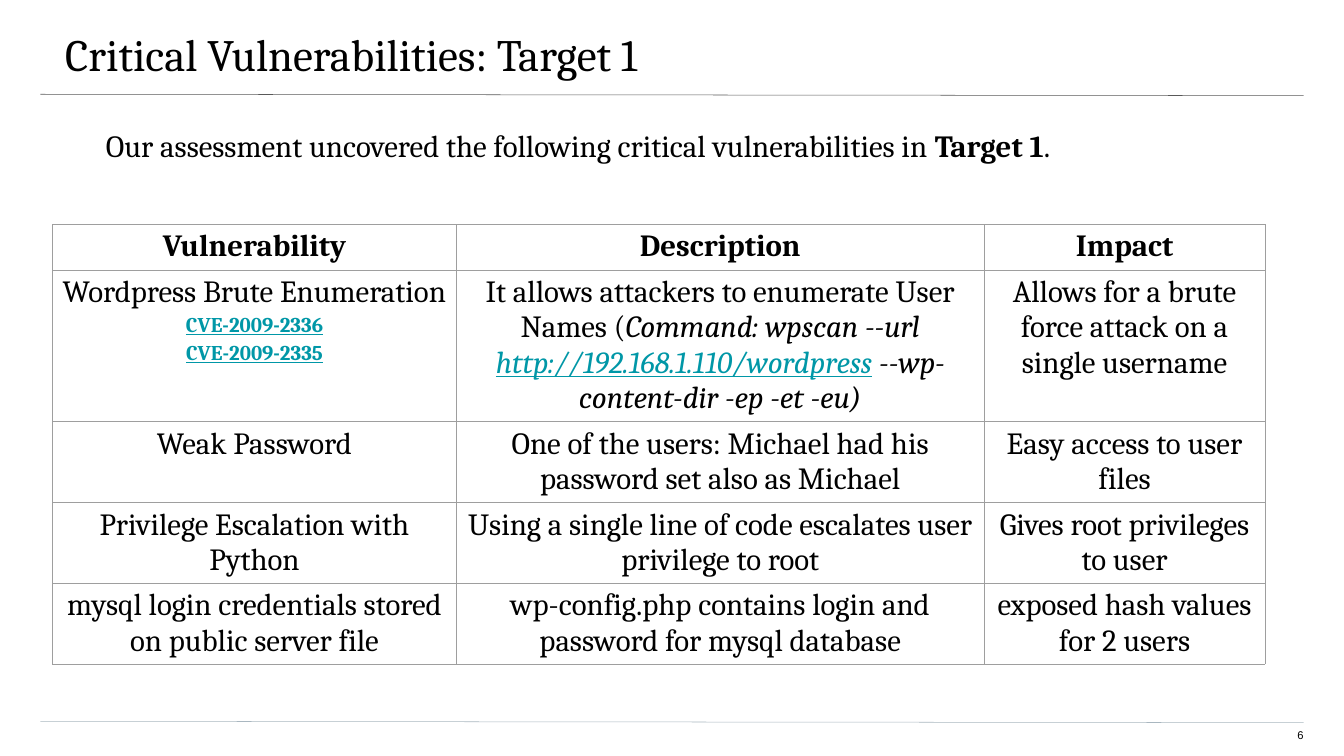
from dataclasses import dataclass

from lxml.etree import SubElement
from pptx import Presentation
from pptx.dml.color import RGBColor
from pptx.enum.shapes import MSO_CONNECTOR
from pptx.enum.text import MSO_ANCHOR, MSO_AUTO_SIZE, PP_ALIGN
from pptx.oxml import parse_xml
from pptx.oxml.ns import nsdecls, qn
from pptx.util import Cm, Pt

BLACK = RGBColor(0x00, 0x00, 0x00)
LINK = RGBColor(0x00, 0x97, 0xA7)
HEADER_RULE = RGBColor(0x59, 0x59, 0x59)
FOOTER_RULE = RGBColor(0xA9, 0xB7, 0xC0)
GRID = RGBColor(0x9E, 0x9E, 0x9E)
SERIF = "Cambria"
RULE_WIDTH = Pt(0.75)


@dataclass(frozen=True)
class Span:
    """A stretch of text; None keeps the look of its paragraph."""
    text: str
    bold: bool | None = None
    italic: bool | None = None
    link: bool = False


@dataclass(frozen=True)
class Line:
    spans: tuple[Span, ...]
    size: float = 44
    font: str = SERIF
    bold: bool = False
    color: RGBColor = BLACK
    underline: bool = False
    align: PP_ALIGN = PP_ALIGN.CENTER
    spacing: float | None = None


def plain(text: str, **style) -> Line:
    return Line((Span(text),), **style)


def cve(number: str) -> Line:
    return plain(number, size=30, bold=True, color=LINK, underline=True, spacing=1.15)


COLUMN_WIDTHS = (20.37, 26.57, 14.17)
ROW_HEIGHTS = (2.3, 7.6, 4.05, 4.05, 4.05)
HEADINGS = ("Vulnerability", "Description", "Impact")
ENUMERATION = (
    (plain("Wordpress Brute Enumeration"), cve("CVE-2009-2336"), cve("CVE-2009-2335")),
    (Line((
        Span("It allows attackers to enumerate User Names ("),
        Span("Command: wpscan --url ", italic=True),
        Span("http://192.168.1.110/wordpress", italic=True, link=True),
        Span(" --wp-content-dir -ep -et -eu)", italic=True),
    )),),
    (plain("Allows for a brute force attack on a single username"),),
)
OTHER_FINDINGS = (
    ("Weak Password",
     "One of the users: Michael had his password set also as Michael",
     "Easy access to user files"),
    ("Privilege Escalation with Python",
     "Using a single line of code escalates user privilege to root",
     "Gives root privileges to user"),
    ("mysql login credentials stored on public server file",
     "wp-config.php contains login and password for mysql database",
     "exposed hash values for 2 users"),
)
ROWS = (
    tuple((plain(heading, bold=True),) for heading in HEADINGS),
    ENUMERATION,
    *(tuple((plain(text),) for text in finding) for finding in OTHER_FINDINGS),
)


def write(text_frame, lines: tuple[Line, ...]) -> None:
    for index, line in enumerate(lines):
        paragraph = text_frame.add_paragraph() if index else text_frame.paragraphs[0]
        paragraph.alignment = line.align
        if line.spacing:
            paragraph.line_spacing = line.spacing
        font = paragraph.font
        font.name, font.size, font.bold = line.font, Pt(line.size), line.bold
        font.color.rgb = line.color
        if line.underline:
            font.underline = True
        for span in line.spans:
            run = paragraph.add_run()
            run.text = span.text
            if span.bold is not None:
                run.font.bold = span.bold
            if span.italic is not None:
                run.font.italic = span.italic
            if span.link:
                run.font.color.rgb = LINK
                run.font.underline = True


def fill_box(shape, insets: tuple[float, ...], line: Line) -> None:
    """Fill a box from its top; insets are left, top, right, bottom in cm."""
    frame = shape.text_frame
    frame.word_wrap = True
    frame.auto_size = MSO_AUTO_SIZE.NONE
    frame.vertical_anchor = MSO_ANCHOR.TOP
    (frame.margin_left, frame.margin_top,
     frame.margin_right, frame.margin_bottom) = map(Cm, insets)
    write(frame, (line,))


def add_rule(slide, top: float, color: RGBColor) -> None:
    rule = slide.shapes.add_connector(
        MSO_CONNECTOR.STRAIGHT, Cm(2.03), Cm(top), Cm(65.68), Cm(top + 0.07))
    rule.line.color.rgb = color
    rule.line.width = RULE_WIDTH
    SubElement(rule.element.spPr, qn("a:effectLst"))


def add_borders(cell) -> None:
    properties = cell._tc.get_or_add_tcPr()
    for index, side in enumerate(("lnL", "lnR", "lnT", "lnB")):
        properties.insert(index, parse_xml(
            f'<a:{side} {nsdecls("a")} w="{RULE_WIDTH}"><a:solidFill>'
            f'<a:srgbClr val="{GRID}"/></a:solidFill></a:{side}>'))


def add_findings_table(slide) -> None:
    table = slide.shapes.add_table(
        len(ROWS), len(COLUMN_WIDTHS), Cm(2.64), Cm(11.3),
        Cm(sum(COLUMN_WIDTHS)), Cm(sum(ROW_HEIGHTS))).table
    table.first_row = table.horz_banding = False
    for column, width in zip(table.columns, COLUMN_WIDTHS):
        column.width = Cm(width)
    for row, height, contents in zip(table.rows, ROW_HEIGHTS, ROWS):
        row.height = Cm(height)
        for cell, lines in zip(row.cells, contents):
            cell.margin_left = cell.margin_right = Cm(0.25)
            cell.margin_top = cell.margin_bottom = Cm(0.25)
            cell.fill.background()
            add_borders(cell)
            write(cell.text_frame, lines)


def main() -> None:
    presentation = Presentation()
    presentation.slide_width, presentation.slide_height = Cm(67.72), Cm(38.1)
    slide = presentation.slides.add_slide(presentation.slide_layouts[5])

    add_rule(slide, 4.75, HEADER_RULE)
    add_rule(slide, 36.35, FOOTER_RULE)

    title = slide.shapes.title
    title.left, title.top, title.width, title.height = Cm(-0.1), Cm(0), Cm(67.9), Cm(3.96)
    fill_box(title, (3.38, 1.35, 2.03, 0.69),
             plain("Critical Vulnerabilities: Target 1", size=64, align=PP_ALIGN.LEFT))

    page_number = slide.shapes.add_textbox(Cm(63.75), Cm(36.73), Cm(1.93), Cm(0.79))
    fill_box(page_number, (0, 0, 0, 0.69),
             plain("6", size=16, font="Arial", align=PP_ALIGN.RIGHT))

    introduction = slide.shapes.add_textbox(Cm(1.96), Cm(6.38), Cm(63.73), Cm(27.85))
    fill_box(introduction, (3.38, 0, 3.38, 6.78), Line((
        Span("Our assessment uncovered the following critical vulnerabilities in "),
        Span("Target 1", bold=True),
        Span("."),
    ), align=PP_ALIGN.LEFT))

    add_findings_table(slide)
    presentation.save("out.pptx")


if __name__ == "__main__":
    main()
